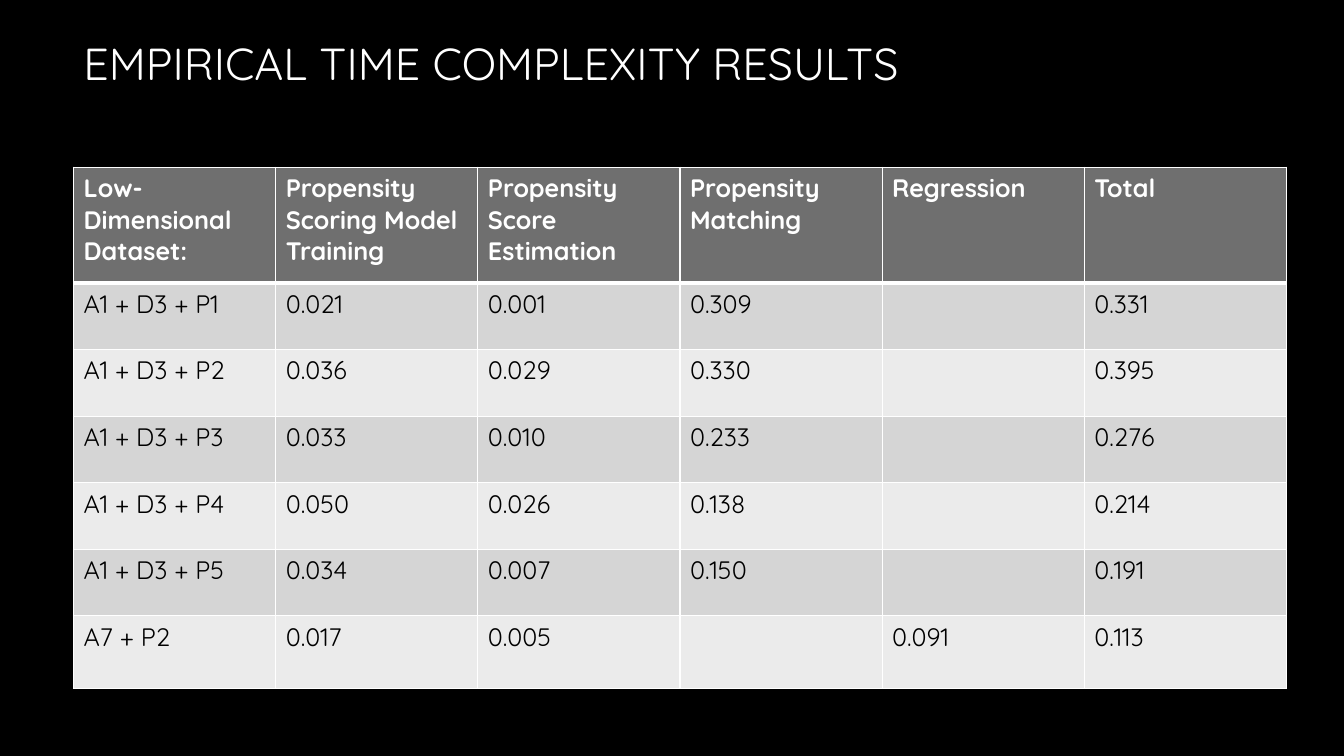
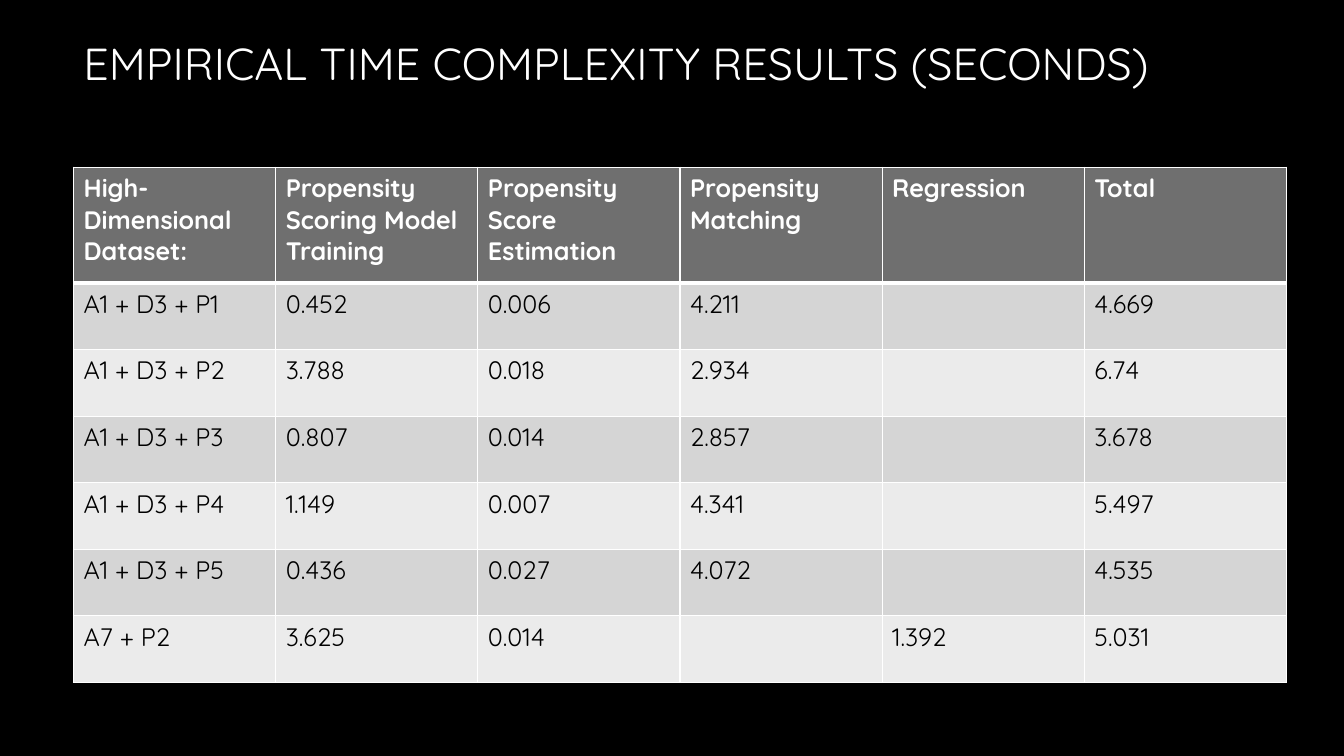
"""Build two slides of empirical time complexity tables."""
import pptx
import pptx.dml.color
import pptx.enum.text
import pptx.oxml
import pptx.oxml.ns
import pptx.util
from pptx.dml.color import RGBColor
from pptx.util import Inches

BLACK = RGBColor(0x00, 0x00, 0x00)
WHITE = RGBColor(0xFF, 0xFF, 0xFF)
TITLE_SHADE = RGBColor(0xA6, 0xA6, 0xA6)
HEADER_FILL = RGBColor(0x6F, 0x6F, 0x6F)
BAND_FILLS = (RGBColor(0xD5, 0xD5, 0xD5), RGBColor(0xEB, 0xEB, 0xEB))
FONT = "Quicksand"

LEFT = 0.73
TABLE_TOP = 1.66
TABLE_WIDTH = 12.03
HEADER_HEIGHT = 1.15
ROW_HEIGHT = 0.66
THIN = 1
THICK = 3

STEPS = (
    "Propensity Scoring Model Training",
    "Propensity Score Estimation",
    "Propensity Matching",
    "Regression",
    "Total",
)
METHODS = [f"A1 + D3 + P{number}" for number in range(1, 6)] + ["A7 + P2"]

LOW_TIMES = (
    ("0.021", "0.001", "0.309", "", "0.331"),
    ("0.036", "0.029", "0.330", "", "0.395"),
    ("0.033", "0.010", "0.233", "", "0.276"),
    ("0.050", "0.026", "0.138", "", "0.214"),
    ("0.034", "0.007", "0.150", "", "0.191"),
    ("0.017", "0.005", "", "0.091", "0.113"),
)
HIGH_TIMES = (
    ("0.452", "0.006", "4.211", "", "4.669"),
    ("3.788", "0.018", "2.934", "", "6.74"),
    ("0.807", "0.014", "2.857", "", "3.678"),
    ("1.149", "0.007", "4.341", "", "5.497"),
    ("0.436", "0.027", "4.072", "", "4.535"),
    ("3.625", "0.014", "", "1.392", "5.031"),
)


def add_run(paragraph, text, size, bold=False):
    run = paragraph.add_run()
    run.text = text
    run.font.name = FONT
    run.font.size = pptx.util.Pt(size)
    run.font.bold = bold
    return run


def add_title(slide, text):
    box = slide.shapes.add_textbox(
        Inches(LEFT), Inches(0.29), Inches(10.83), Inches(0.67)
    )
    frame = box.text_frame
    frame.word_wrap = True
    frame.vertical_anchor = pptx.enum.text.MSO_ANCHOR.MIDDLE
    fill = add_run(frame.paragraphs[0], text, 32).font.fill
    fill.gradient()
    fill.gradient_angle = 267
    for stop, color in zip(fill.gradient_stops, (WHITE, TITLE_SHADE)):
        stop.color.rgb = color


def add_borders(cell, top, bottom):
    properties = cell._tc.get_or_add_tcPr()
    for side, points in (("L", THIN), ("R", THIN), ("T", top), ("B", bottom)):
        properties.append(pptx.oxml.parse_xml(
            f'<a:ln{side} {pptx.oxml.ns.nsdecls("a")} w="{pptx.util.Pt(points)}">'
            f'<a:solidFill><a:srgbClr val="{WHITE}"/></a:solidFill></a:ln{side}>'
        ))


def fill_cell(cell, text, row_index):
    is_header = row_index == 0
    add_borders(
        cell,
        top=THICK if row_index == 1 else THIN,
        bottom=THICK if is_header else THIN,
    )
    cell.fill.solid()
    cell.fill.fore_color.rgb = (
        HEADER_FILL if is_header else BAND_FILLS[(row_index - 1) % 2]
    )
    if text:
        run = add_run(cell.text_frame.paragraphs[0], text, 18, is_header)
        run.font.color.rgb = WHITE if is_header else BLACK


def add_times_table(slide, dataset, times, last_height):
    rows = [(dataset, *STEPS)]
    rows += [(method, *values) for method, values in zip(METHODS, times)]
    heights = [HEADER_HEIGHT] + [ROW_HEIGHT] * (len(times) - 1) + [last_height]
    table = slide.shapes.add_table(
        len(rows), len(rows[0]), Inches(LEFT), Inches(TABLE_TOP),
        Inches(TABLE_WIDTH), Inches(sum(heights)),
    ).table
    table.horz_banding = False
    for row_index, (texts, height) in enumerate(zip(rows, heights)):
        table.rows[row_index].height = Inches(height)
        for column_index, text in enumerate(texts):
            fill_cell(table.cell(row_index, column_index), text, row_index)


def add_results_slide(presentation, title, dataset, times, last_height=ROW_HEIGHT):
    slide = presentation.slides.add_slide(presentation.slide_layouts[6])
    slide.background.fill.solid()
    slide.background.fill.fore_color.rgb = BLACK
    add_title(slide, title)
    add_times_table(slide, dataset, times, last_height)


def main():
    presentation = pptx.Presentation()
    presentation.slide_width = Inches(13.33)
    presentation.slide_height = Inches(7.5)
    title = "EMPIRICAL TIME COMPLEXITY RESULTS"
    add_results_slide(
        presentation, title, "Low-Dimensional Dataset:", LOW_TIMES, last_height=0.72
    )
    add_results_slide(
        presentation, f"{title} (SECONDS)", "High-Dimensional Dataset:", HIGH_TIMES
    )
    presentation.save("out.pptx")


if __name__ == "__main__":
    main()
